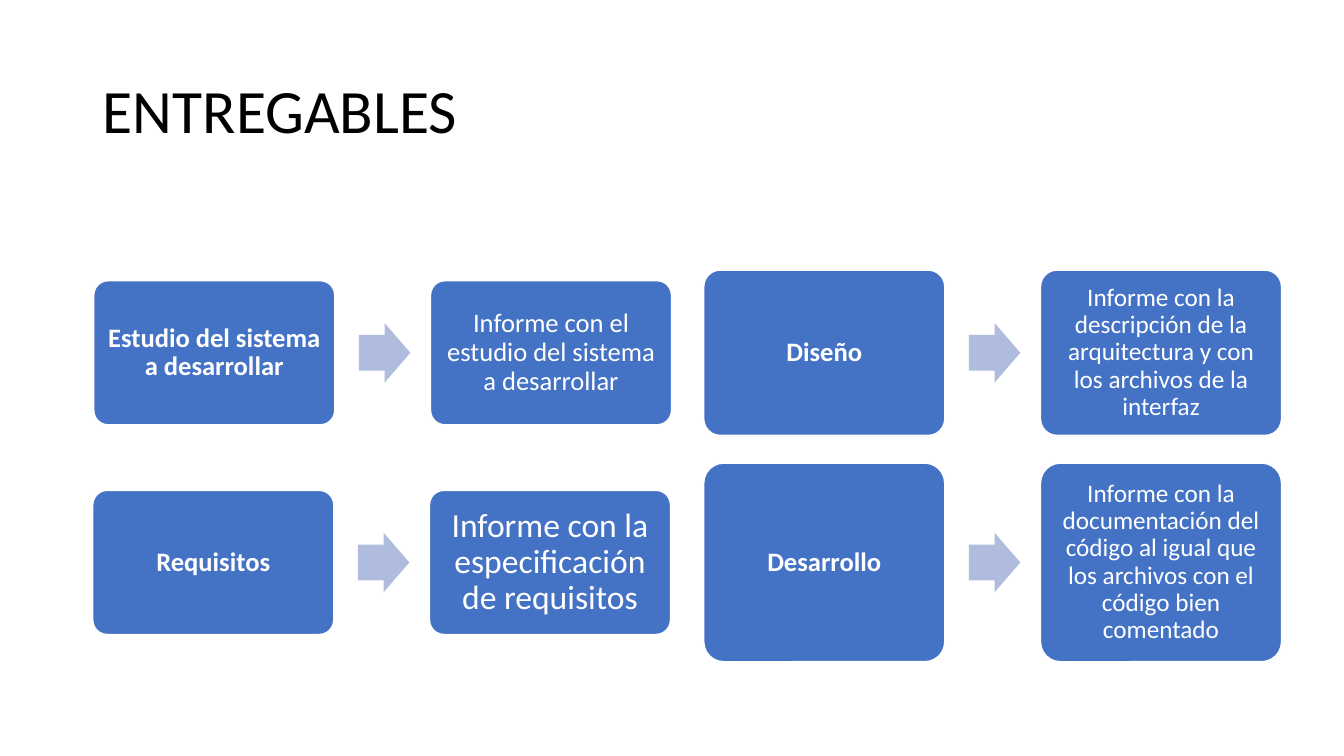
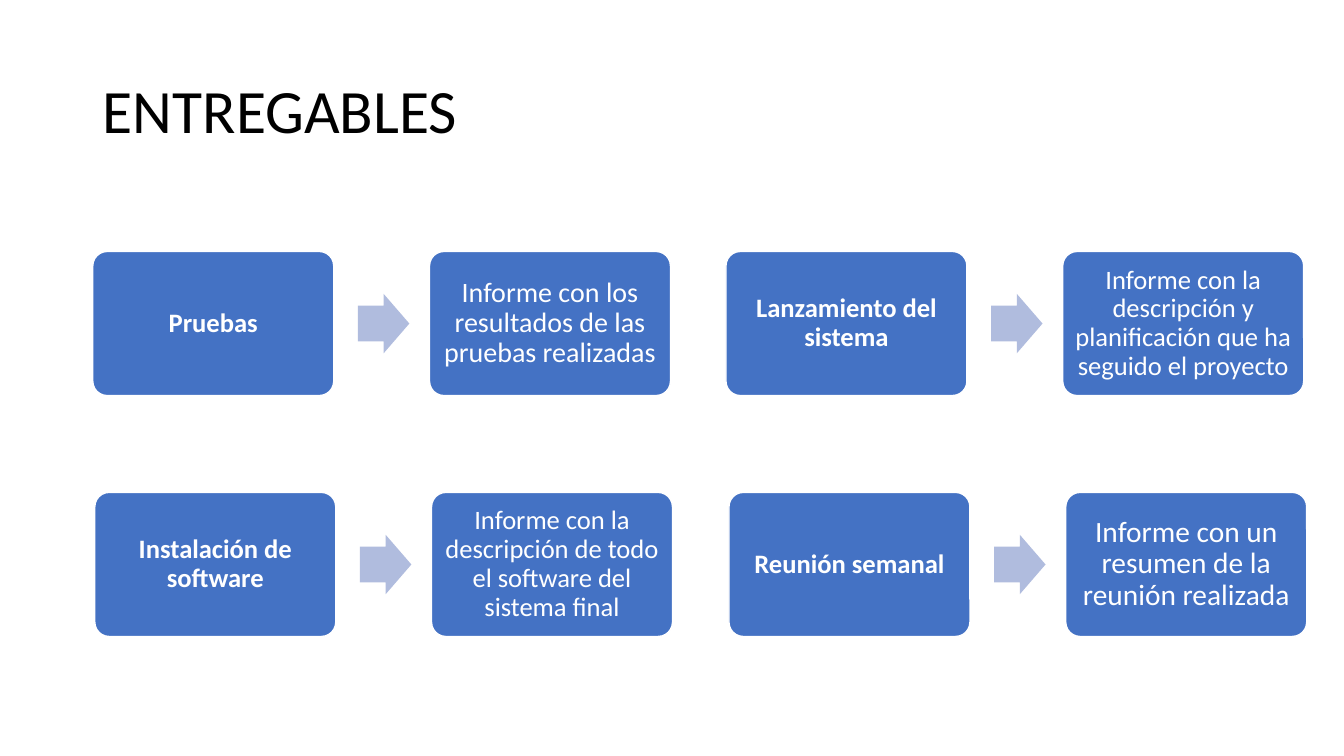
from pptx import Presentation
from pptx.dml.color import RGBColor
from pptx.enum.shapes import MSO_SHAPE
from pptx.enum.text import MSO_ANCHOR, PP_ALIGN
from pptx.util import Inches, Pt

BLUE = RGBColor(0x44, 0x72, 0xC4)
PALE_BLUE = RGBColor(0xB0, 0xBC, 0xDE)
WHITE = RGBColor(0xFF, 0xFF, 0xFF)
BLACK = RGBColor(0x00, 0x00, 0x00)
FONT = "Calibri"

BOX_WIDTH, BOX_HEIGHT = 2.39, 1.43
ARROW_WIDTH, ARROW_HEIGHT = 0.51, 0.59
ARROW_OFFSET, REPORT_OFFSET = 2.63, 3.34
PHASE_SIZE = 19

# Left edge, vertical centre, box height, phase, report, report font size
DELIVERABLES = [
    [
        (0.93, 3.5, BOX_HEIGHT, "Estudio del sistema a desarrollar",
         "Informe con el estudio del sistema a desarrollar", 19),
        (0.92, 5.58, BOX_HEIGHT, "Requisitos",
         "Informe con la especificación de requisitos", 24),
        (6.98, 3.5, 1.64, "Diseño",
         "Informe con la descripción de la arquitectura y con los archivos de la interfaz", 18),
        (6.98, 5.58, 1.97, "Desarrollo",
         "Informe con la documentación del código al igual que los archivos "
         "con el código bien comentado", 18),
    ],
    [
        (0.92, 3.21, BOX_HEIGHT, "Pruebas",
         "Informe con los resultados de las pruebas realizadas", 20),
        (0.94, 5.6, BOX_HEIGHT, "Instalación de software",
         "Informe con la descripción de todo el software del sistema final", 19),
        (7.2, 3.21, BOX_HEIGHT, "Lanzamiento del sistema",
         "Informe con la descripción y planificación que ha seguido el proyecto", 19),
        (7.23, 5.6, BOX_HEIGHT, "Reunión semanal",
         "Informe con un resumen de la reunión realizada", 21),
    ],
]


class Deck:
    def __init__(self):
        self.presentation = Presentation()
        self.presentation.slide_width = Inches(13.33)
        self.presentation.slide_height = Inches(7.5)
        self.slide = None

    def add_slide(self, heading):
        title_only = self.presentation.slide_layouts[5]
        self.slide = self.presentation.slides.add_slide(title_only)
        title = self.slide.shapes.title
        title.left, title.top = Inches(0.92), Inches(0.4)
        title.width, title.height = Inches(11.5), Inches(1.45)
        self.set_text(title.text_frame, heading, 44, BLACK, PP_ALIGN.LEFT)

    def set_text(self, frame, text, size, color, alignment, bold=False):
        frame.text = text
        frame.word_wrap = True
        frame.vertical_anchor = MSO_ANCHOR.MIDDLE
        paragraph = frame.paragraphs[0]
        paragraph.alignment = alignment
        paragraph.line_spacing = 0.9
        paragraph.font.name = FONT
        paragraph.font.size = Pt(size)
        paragraph.font.bold = bold
        paragraph.font.color.rgb = color

    def shape(self, group, preset, left, middle, width, height, fill):
        """Add a flat shape centred vertically on middle."""
        shape = group.shapes.add_shape(
            preset, Inches(left), Inches(middle - height / 2), Inches(width), Inches(height))
        shape.shadow.inherit = False
        shape.fill.solid()
        shape.fill.fore_color.rgb = fill
        shape.line.fill.background()
        return shape

    def box(self, group, left, middle, height, text, size, bold=False):
        box = self.shape(group, MSO_SHAPE.ROUNDED_RECTANGLE,
                         left, middle, BOX_WIDTH, height, BLUE)
        box.adjustments[0] = 0.1
        box.line.color.rgb = WHITE
        box.line.width = Pt(1)
        frame = box.text_frame
        margin = Pt(size * 0.3)
        frame.margin_left = frame.margin_right = margin
        frame.margin_top = frame.margin_bottom = margin
        self.set_text(frame, text, size, WHITE, PP_ALIGN.CENTER, bold)

    def arrow(self, group, left, middle):
        arrow = self.shape(group, MSO_SHAPE.RIGHT_ARROW,
                           left, middle, ARROW_WIDTH, ARROW_HEIGHT, PALE_BLUE)
        arrow.adjustments[0] = 0.6
        arrow.adjustments[1] = 0.5

    def deliverable(self, left, middle, height, phase, report, report_size):
        """Add a phase, an arrow and the report it produces as one group."""
        group = self.slide.shapes.add_group_shape()
        self.box(group, left, middle, height, phase, PHASE_SIZE, bold=True)
        self.arrow(group, left + ARROW_OFFSET, middle)
        self.box(group, left + REPORT_OFFSET, middle, height, report, report_size)


def main():
    deck = Deck()
    for deliverables in DELIVERABLES:
        deck.add_slide("ENTREGABLES")
        for deliverable in deliverables:
            deck.deliverable(*deliverable)
    deck.presentation.save("out.pptx")


if __name__ == "__main__":
    main()
